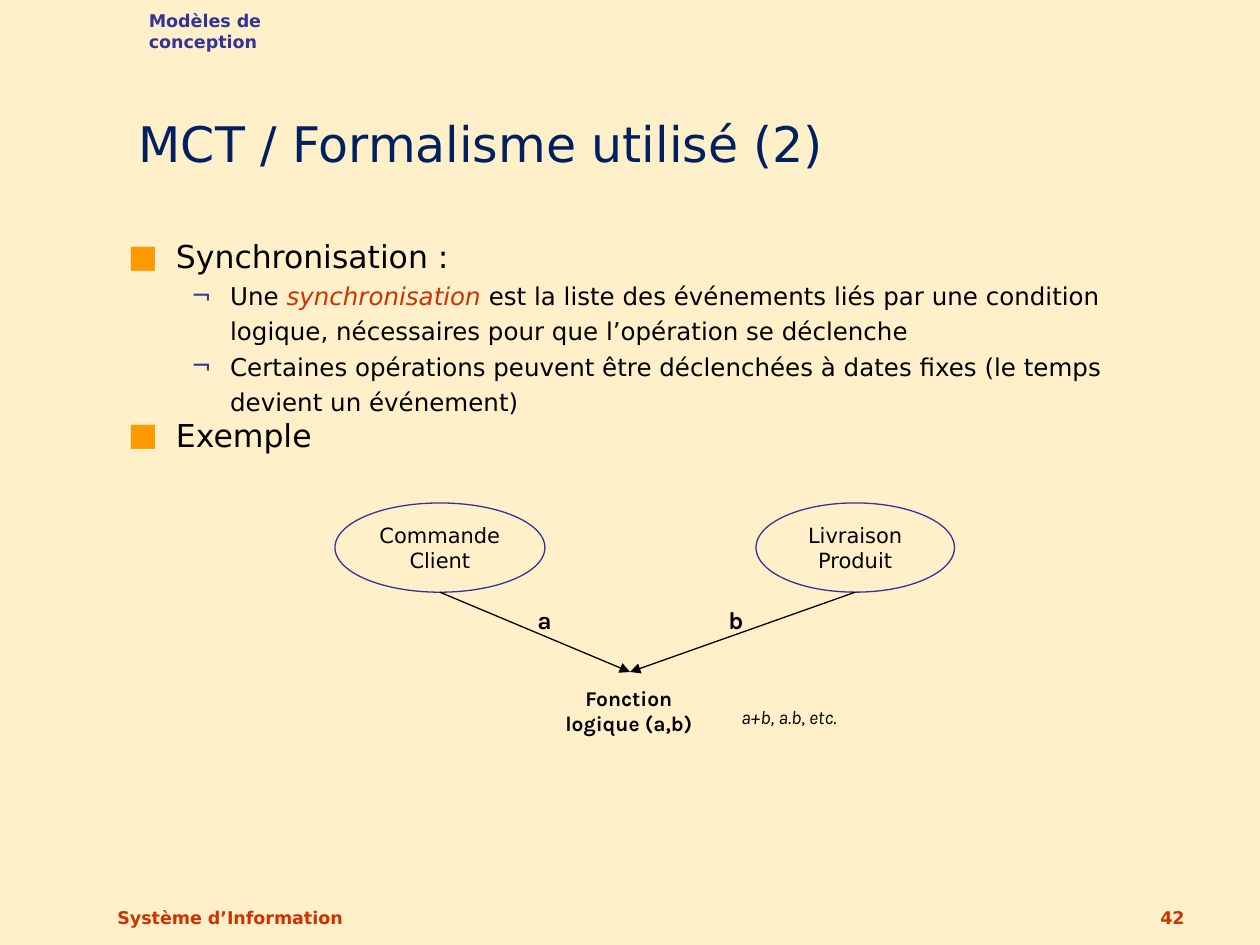
from lxml import etree
from pptx import Presentation
from pptx.dml.color import RGBColor
from pptx.enum.shapes import MSO_CONNECTOR, MSO_SHAPE
from pptx.enum.text import MSO_ANCHOR, MSO_AUTO_SIZE, PP_ALIGN
from pptx.oxml.ns import qn
from pptx.util import Inches, Pt

LEFT, CENTER, RIGHT = PP_ALIGN.LEFT, PP_ALIGN.CENTER, PP_ALIGN.RIGHT
TOP, MIDDLE, BOTTOM = MSO_ANCHOR.TOP, MSO_ANCHOR.MIDDLE, MSO_ANCHOR.BOTTOM
ELLIPSE, STRAIGHT = MSO_SHAPE.OVAL, MSO_CONNECTOR.STRAIGHT
NO_FIT = MSO_AUTO_SIZE.NONE

COLORS = {"paper": "FFF0CA", "navy": "002060", "blue": "333399",
          "red": "CC3300", "orange": "FF9900", "black": "000000"}
SANS, KARLA = "DejaVu Sans", "Karla"
COLS, ROWS = 120, 90

# Per list level: size, left margin, hanging indent, line spacing, bullet, colour
LEVELS = [(18, 0.38, -0.38, 1.0, "■", "orange"),
          (14, 0.81, -0.31, 1.2, "¬", "blue")]


def rgb(name):
    return RGBColor.from_string(COLORS[name])


class SlideBuilder:
    """Places elements on a grid of COLS by ROWS cells."""

    def __init__(self, prs):
        self.prs = prs
        self.s = prs.slides.add_slide(prs.slide_layouts[1])
        fill = self.s.background.fill
        fill.solid()
        fill.fore_color.rgb = rgb("paper")

    def point(self, col, row):
        return (round(self.prs.slide_width * col / COLS),
                round(self.prs.slide_height * row / ROWS))

    def box(self, col, row, cols, rows):
        return self.point(col, row) + self.point(cols, rows)

    def run(self, p, text, size, color="black", font=SANS, bold=False, italic=False):
        r = p.add_run()
        r.text = text
        r.font.name, r.font.size = font, Pt(size)
        r.font.bold, r.font.italic = bold, italic
        r.font.color.rgb = rgb(color)

    def frame(self, sp, anchor, wrap=True):
        tf = sp.text_frame
        tf.auto_size = NO_FIT
        tf.word_wrap = wrap
        tf.vertical_anchor = anchor
        return tf

    def place(self, sp, *cells):
        sp.left, sp.top, sp.width, sp.height = self.box(*cells)

    def title(self, text, *cells):
        sp = self.s.shapes.title
        self.place(sp, *cells)
        p = self.frame(sp, BOTTOM).paragraphs[0]
        p.alignment = LEFT
        self.run(p, text, 28, "navy")

    def bullets(self, items, *cells):
        sp = self.s.placeholders[1]
        self.place(sp, *cells)
        tf = self.frame(sp, TOP)
        for i, (level, parts) in enumerate(items):
            size, margin, indent, spacing, mark, color = LEVELS[level]
            p = tf.add_paragraph() if i else tf.paragraphs[0]
            p.level = level
            p.line_spacing = spacing
            p.space_before = p.space_after = Pt(0)
            pPr = p._p.get_or_add_pPr()
            pPr.set("marL", str(Inches(margin)))
            pPr.set("indent", str(Inches(indent)))
            clr = etree.SubElement(pPr, qn("a:buClr"))
            etree.SubElement(clr, qn("a:srgbClr"), val=COLORS[color])
            etree.SubElement(pPr, qn("a:buFont"), typeface=SANS)
            etree.SubElement(pPr, qn("a:buChar"), char=mark)
            for text, style in parts:
                self.run(p, text, size, **style)

    def text(self, text, *cells, size=10, align=LEFT, anchor=TOP, wrap=True,
             right_inset=0.1, **style):
        sp = self.s.shapes.add_textbox(*self.box(*cells))
        tf = self.frame(sp, anchor, wrap)
        tf.margin_right = Inches(right_inset)
        p = tf.paragraphs[0]
        p.alignment = align
        self.run(p, text, size, **style)

    def event(self, text, *cells):
        sp = self.s.shapes.add_shape(ELLIPSE, *self.box(*cells))
        sp.shadow.inherit = False
        sp.fill.background()
        sp.line.color.rgb = rgb("blue")
        sp.line.width = Pt(0.75)
        p = self.frame(sp, MIDDLE).paragraphs[0]
        p.alignment = CENTER
        self.run(p, text, 12)

    def arrow(self, start, end):
        line = self.s.shapes.add_connector(STRAIGHT, *self.point(*start), *self.point(*end))
        line.line.color.rgb = rgb("black")
        line.line.width = Pt(0.75)
        etree.SubElement(line.line._get_or_add_ln(), qn("a:tailEnd"), type="triangle")
        etree.SubElement(line._element.spPr, qn("a:effectLst"))


def main():
    prs = Presentation()
    prs.slide_width, prs.slide_height = Inches(10), Inches(7.5)
    b = SlideBuilder(prs)

    # Header and footer
    b.text("Modèles de conception", 13, 0.4, 23.6, 3.2, color="blue", bold=True,
           right_inset=0.8)
    b.text("Système d’Information", 10, 83, 38, 6, anchor=BOTTOM, color="red", bold=True)
    b.text("42", 89, 83, 25, 6, align=RIGHT, anchor=BOTTOM, color="red", bold=True)

    # Title and list
    b.title("MCT / Formalisme utilisé (2)", 12, 2, 111.8, 15)
    b.bullets([
        (0, [("Synchronisation :", {})]),
        (1, [("Une ", {}),
             ("synchronisation", {"color": "red", "italic": True}),
             (" est la liste des événements liés par une condition logique, "
              "nécessaires pour que l’opération se déclenche", {})]),
        (1, [("Certaines opérations peuvent être déclenchées à dates fixes "
              "(le temps devient un événement)", {})]),
        (0, [("Exemple", {})]),
    ], 11, 22, 101, 27)

    # Events, each with an arrow from its lowest point to the logical function
    top, height, target = 47.9, 8.5, (60, 64)
    for name, col, cols, letter, letter_col in [
            ("Commande Client", 31.9, 20, "a", 50),
            ("Livraison Produit", 72, 18.9, "b", 68.2)]:
        b.event(name, col, top, cols, height)
        b.arrow((col + cols / 2, top + height), target)
        b.text(letter, letter_col, 57, 3.8, 4, size=14, font=KARLA, bold=True, wrap=False)

    # Logical function and its examples
    b.text("Fonction logique (a,b)", 52.2, 64.7, 15.4, 6, size=12, align=CENTER,
           font=KARLA, bold=True)
    b.text("a+b, a.b, etc.", 69.4, 66.6, 13.7, 3.5, size=11, font=KARLA, italic=True,
           wrap=False)

    prs.save("out.pptx")


if __name__ == "__main__":
    main()
